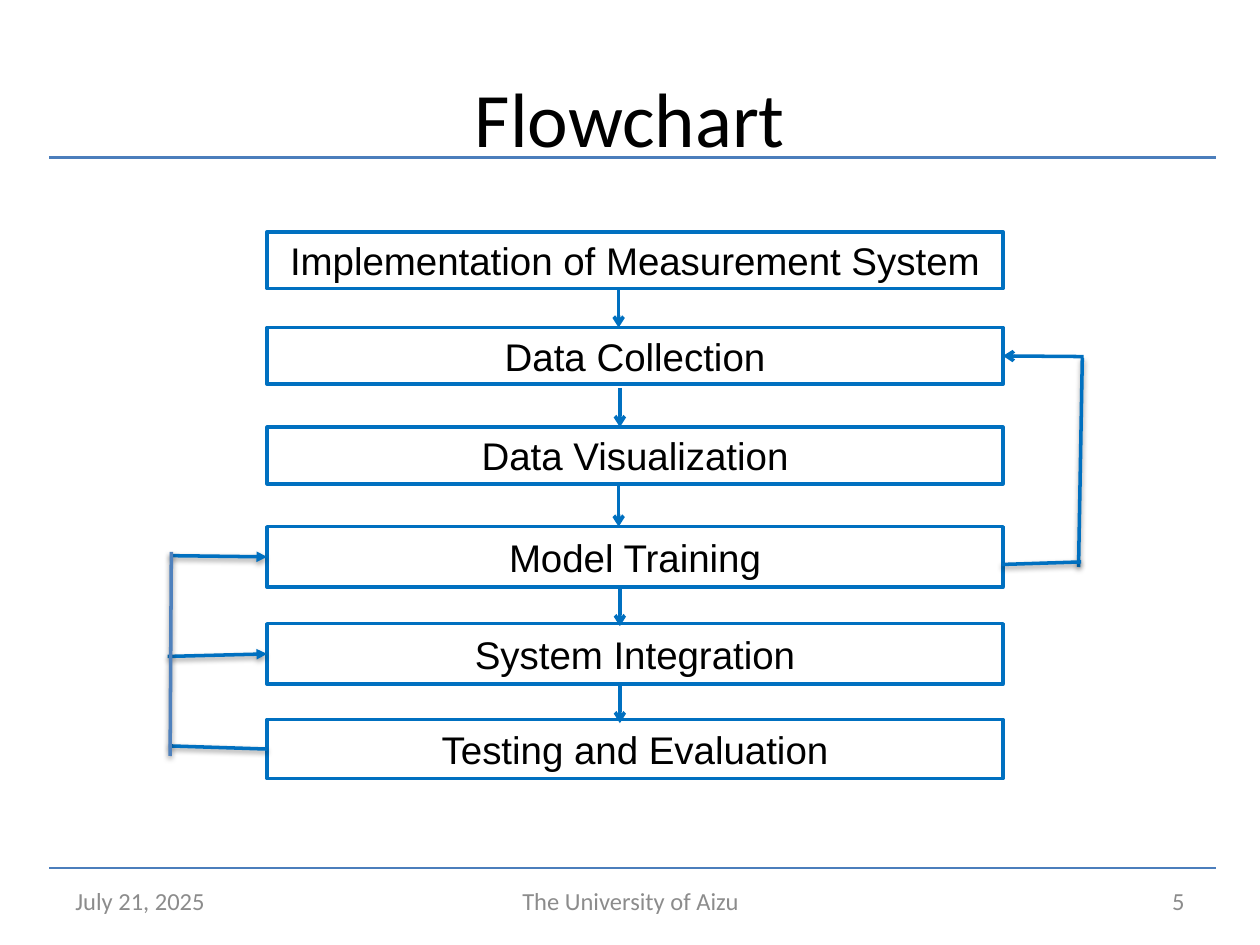
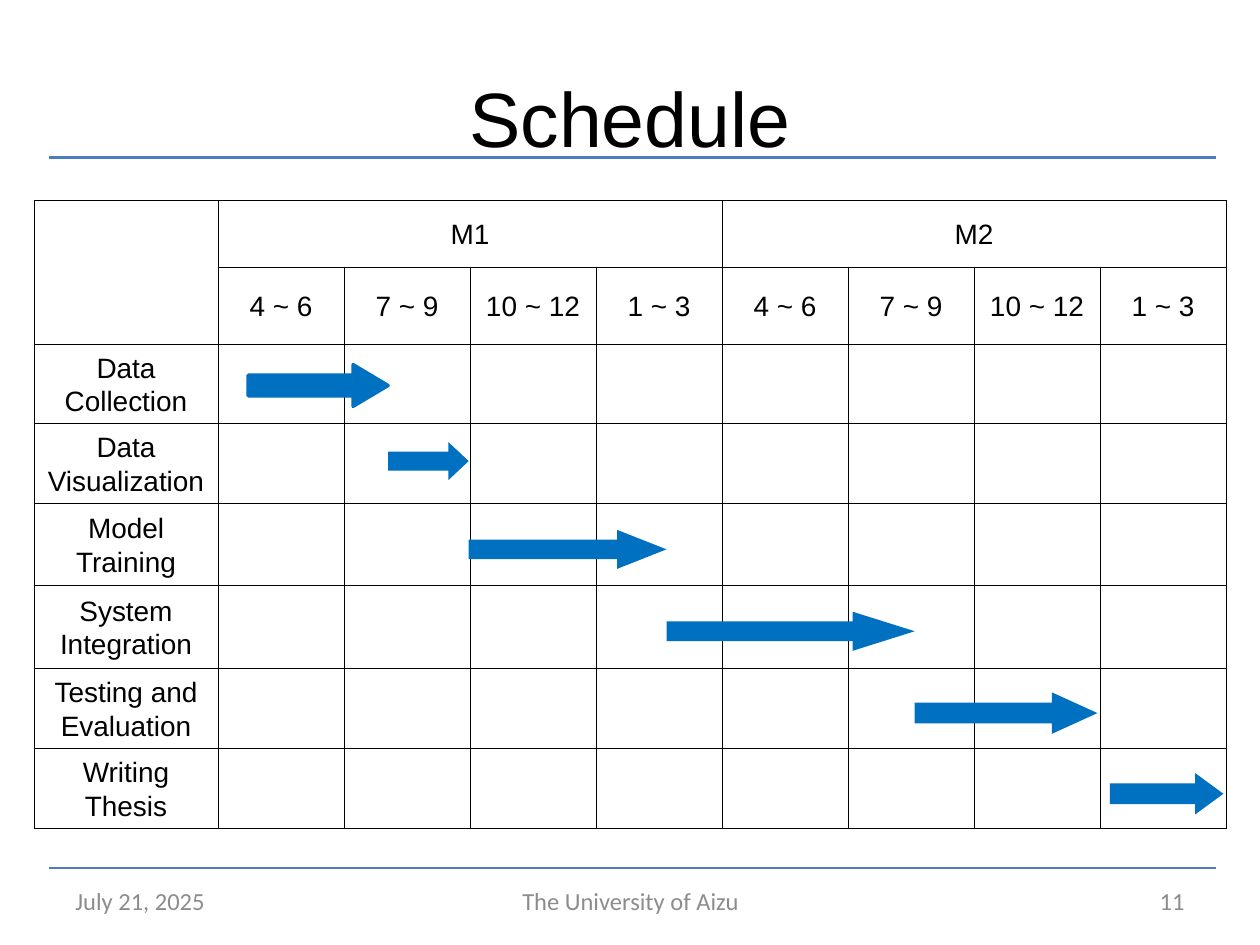
from lxml import etree
from pptx import Presentation
from pptx.dml.color import RGBColor
from pptx.enum.shapes import MSO_CONNECTOR, MSO_SHAPE
from pptx.enum.text import MSO_ANCHOR, PP_ALIGN
from pptx.oxml.ns import qn
from pptx.util import Inches, Pt

LINE = MSO_CONNECTOR.STRAIGHT
RECT = MSO_SHAPE.RECTANGLE
ARROW = MSO_SHAPE.RIGHT_ARROW
MIDDLE = MSO_ANCHOR.MIDDLE
LEFT, CENTER, RIGHT = PP_ALIGN.LEFT, PP_ALIGN.CENTER, PP_ALIGN.RIGHT
LEFT_SIDE, RIGHT_SIDE = 1, 3

BLACK = RGBColor(0x00, 0x00, 0x00)
BLUE = RGBColor(0x00, 0x70, 0xC0)
STEEL = RGBColor(0x4F, 0x81, 0xBD)
RULE = RGBColor(0x4B, 0x7E, 0xBC)
GRAY = RGBColor(0x8C, 0x8C, 0x8C)

# The slide is a grid of 10 columns by 7.5 rows, one inch each.
COLS, ROWS = 10, 7.5

# Step name, top, height
STEPS = [
    ("Implementation of Measurement System", 1.84, 0.45),
    ("Data Collection", 2.6, 0.45),
    ("Data Visualization", 3.39, 0.45),
    ("Model Training", 4.18, 0.48),
    ("System Integration", 4.95, 0.48),
    ("Testing and Evaluation", 5.71, 0.47),
]
# Down arrows between steps: x, top, bottom
DROPS = [(4.91, 2.29, 2.6), (4.92, 3.08, 3.39), (4.91, 3.86, 4.18),
         (4.92, 4.66, 4.97), (4.92, 5.43, 5.74)]

YEARS = ["M1", "M2"]
TERMS = ["4 ~ 6", "7 ~ 9", "10 ~ 12", "1 ~ 3"]
HEADS = [0.53, 0.61]
GRID_X, GRID_Y, NAME_W = 0.27, 1.59, 1.46
# Task name, row height, first and last term, bar middle, bar height
TASKS = [
    ("Data Collection", 0.63, 0.24, 1.35, 3.06, 0.33),
    ("Data Visualization", 0.63, 1.35, 1.99, 3.66, 0.3),
    ("Model Training", 0.65, 1.99, 3.56, 4.36, 0.31),
    ("System Integration", 0.66, 3.56, 5.53, 5.01, 0.31),
    ("Testing and Evaluation", 0.63, 5.53, 6.98, 5.66, 0.33),
    ("Writing Thesis", 0.63, 7.08, 7.98, 6.3, 0.33),
]


def place(*spans):
    return [Inches(span) for span in spans]


def style(para, size, font, color, align=CENTER):
    para.alignment = align
    para.font.size = Pt(size)
    para.font.name = font
    para.font.color.rgb = color


def link(slide, start, end, color=BLUE, width=2, head=None, shade=False):
    """Draw a line, with an arrowhead type and a soft shadow if asked."""
    line = slide.shapes.add_connector(LINE, *place(*start, *end))
    line.line.color.rgb = color
    line.line.width = Pt(width)
    if head:
        etree.SubElement(line.line._get_or_add_ln(), qn("a:tailEnd"), type=head)
    effect = etree.SubElement(line._element.spPr, qn("a:effectLst"))
    if shade:
        outer = etree.SubElement(
            effect, qn("a:outerShdw"), blurRad=str(Pt(3.1)),
            dist=str(Pt(1.6)), dir="5400000", rotWithShape="0")
        black = etree.SubElement(outer, qn("a:srgbClr"), val=str(BLACK))
        etree.SubElement(black, qn("a:alpha"), val="38000")
    return line


def note(slide, text, left, width, align):
    """Write one footer entry."""
    box = slide.shapes.add_textbox(*place(left, 6.95, width, 0.4))
    frame = box.text_frame
    frame.word_wrap = True
    frame.vertical_anchor = MIDDLE
    frame.text = text
    style(frame.paragraphs[0], 14, "Calibri", GRAY, align)


def page(deck, title, font, number):
    """Add a slide with its title, rules and footer."""
    slide = deck.slides.add_slide(deck.slide_layouts[5])
    link(slide, (0.39, 6.89), (9.65, 6.89), RULE, 1.5)
    link(slide, (0.39, 1.25), (9.65, 1.25), RULE, 2.25)
    head = slide.shapes.title
    head.left, head.top, head.width, head.height = place(0.5, 0.3, 9, 1.25)
    head.text_frame.text = title
    head.text_frame.vertical_anchor = MIDDLE
    style(head.text_frame.paragraphs[0], 44, font, BLACK)
    note(slide, "July 21, 2025", 0.5, 2.33, LEFT)
    note(slide, "The University of Aizu", 3.42, 3.17, CENTER)
    note(slide, str(number), 7.17, 2.33, RIGHT)
    return slide


def step(slide, name, top, height):
    box = slide.shapes.add_shape(RECT, *place(2.12, top, 5.84, height))
    box.shadow.inherit = False
    box.fill.background()
    box.line.color.rgb = BLUE
    box.line.width = Pt(2)
    frame = box.text_frame
    frame.word_wrap = True
    frame.vertical_anchor = MIDDLE
    frame.text = name
    style(frame.paragraphs[0], 22, "Arial", BLACK)
    return box


def flow(slide):
    boxes = [step(slide, *item) for item in STEPS]
    _, collect, _, train, join, test = boxes
    for x, top, end in DROPS:
        link(slide, (x, top), (x, end), head="arrow")

    back = link(slide, (8.6, 2.83), (7.96, 2.83), head="arrow")
    back.end_connect(collect, RIGHT_SIDE)
    link(slide, (8.59, 2.84), (8.56, 4.5), shade=True)
    link(slide, (7.95, 4.48), (8.58, 4.46), shade=True)

    for box, x, y, head in [(train, 1.35, 4.41, "triangle"),
                            (join, 1.33, 5.21, "triangle"),
                            (test, 1.34, 5.92, None)]:
        arm = link(slide, (x, y), (2.12, y), head=head, shade=True)
        arm.end_connect(box, LEFT_SIDE)
    link(slide, (1.36, 4.38), (1.35, 6), STEEL, shade=True)


def edge(cell):
    """Clear the cell's fill and frame it with thin black lines."""
    cell.fill.background()
    props = cell._tc.get_or_add_tcPr()
    for spot, side in enumerate(("lnL", "lnR", "lnT", "lnB")):
        line = etree.Element(qn("a:" + side), w=str(Pt(0.57)))
        fill = etree.SubElement(line, qn("a:solidFill"))
        etree.SubElement(fill, qn("a:srgbClr"), val=str(BLACK))
        props.insert(spot, line)


def label(cell, text):
    cell.text = text
    cell.vertical_anchor = MIDDLE
    para = cell.text_frame.paragraphs[0]
    para.line_spacing = Pt(19.2)
    style(para, 16, "Arial", BLACK)


def chart(slide):
    """Build the table of terms and tasks."""
    highs = HEADS + [task[1] for task in TASKS]
    terms = TERMS * len(YEARS)
    frame = slide.shapes.add_table(
        len(highs), len(terms) + 1,
        *place(GRID_X, GRID_Y, NAME_W + len(terms), sum(highs)))
    table = frame.table
    table.first_row = table.horz_banding = False
    for col, width in zip(table.columns, [NAME_W] + [1] * len(terms)):
        col.width = Inches(width)
    for row, high in zip(table.rows, highs):
        row.height = Inches(high)
    for cell in table.iter_cells():
        edge(cell)

    table.cell(0, 0).merge(table.cell(1, 0))
    for num, year in enumerate(YEARS):
        first = 1 + num * len(TERMS)
        table.cell(0, first).merge(table.cell(0, first + len(TERMS) - 1))
        label(table.cell(0, first), year)
    for col, term in enumerate(terms, 1):
        label(table.cell(1, col), term)
    for row, task in enumerate(TASKS, len(HEADS)):
        label(table.cell(row, 0), task[0])


def bar(slide, start, end, mid, height):
    """Draw a task arrow whose head takes a quarter of its length."""
    width = end - start
    left = GRID_X + NAME_W + start
    shape = slide.shapes.add_shape(
        ARROW, *place(left, mid - height / 2, width, height))
    shape.adjustments[0] = 0.5
    shape.adjustments[1] = width / height / 4
    shape.shadow.inherit = False
    shape.fill.solid()
    shape.fill.fore_color.rgb = BLUE
    shape.line.fill.background()
    return shape


def plan(slide):
    chart(slide)
    bars = [bar(slide, *task[2:]) for task in TASKS]
    edged = bars[0].line
    edged.color.rgb = BLUE
    edged.width = Pt(2)
    etree.SubElement(edged._get_or_add_ln(), qn("a:round"))


def main():
    deck = Presentation()
    deck.slide_width, deck.slide_height = place(COLS, ROWS)
    flow(page(deck, "Flowchart", "Calibri", 5))
    plan(page(deck, "Schedule", "Arial", 11))
    deck.save("out.pptx")


if __name__ == "__main__":
    main()
